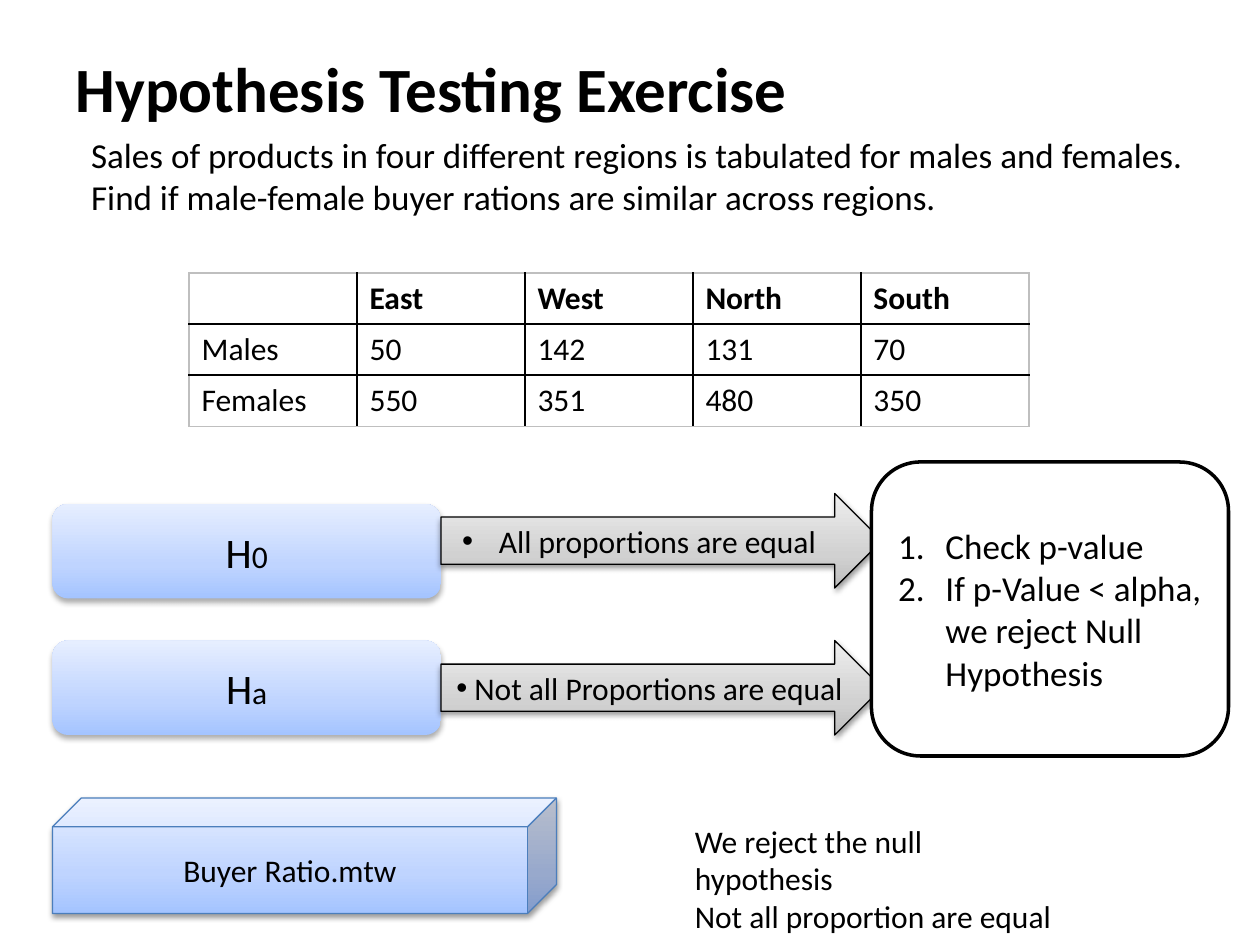
from pptx import Presentation
from pptx.dml.color import RGBColor
from pptx.enum.shapes import MSO_SHAPE
from pptx.enum.text import MSO_ANCHOR, PP_ALIGN
from pptx.oxml import parse_xml
from pptx.oxml.ns import qn
from pptx.util import Pt
from lxml.etree import SubElement

TITLE = "Hypothesis Testing Exercise"
INTRO = ("Sales of products in four different regions is tabulated for males and "
         "females. Find if male-female buyer rations are similar across regions.")
SALES = [
    ("", "East", "West", "North", "South"),
    ("Males", "50", "142", "131", "70"),
    ("Females", "550", "351", "480", "350"),
]
# symbol, its index, claim, box top, arrow top, bullet margin, bullet indent
CLAIMS = [
    ("H", "0", "All proportions are equal", 288, 282, 9, -21),
    ("H", "a", " Not all Proportions are equal", 366, 366, 0, 0),
]
STEPS = ["Check p-value", "If p-Value < alpha, we reject Null Hypothesis"]
FILE = "Buyer Ratio.mtw"
RESULT = ["We reject the null hypothesis", "Not all proportion are equal"]

BLUE = [(0, "A4C4FF"), (35, "BFD4FF"), (100, "E6EEFF")]
GREY = [(0, "BDBDBD"), (35, "D1D1D1"), (100, "EEEEEE")]
SOFT = (32, 3.5, 2.2)
FIRM = (38, 3.1, 1.6)
FONT = "Calibri"
NS = 'xmlns:a="http://schemas.openxmlformats.org/drawingml/2006/main"'


def color(code):
    """Turn a hex string into a colour."""
    return RGBColor.from_string(code)


def write(frame, paras, size=18, bold=False, align=PP_ALIGN.LEFT,
          anchor=MSO_ANCHOR.MIDDLE, left=0, indent=0, bullet=None):
    """Fill a frame; a paragraph is a string or a list of (text, size) runs."""
    frame.word_wrap = True
    frame.vertical_anchor = anchor
    for i, runs in enumerate(paras):
        para = frame.add_paragraph() if i else frame.paragraphs[0]
        para.alignment = align
        props = para._p.get_or_add_pPr()
        props.set("marL", str(Pt(left)))
        props.set("indent", str(Pt(indent)))
        if bullet:
            SubElement(props, qn("a:buFont"), typeface="Arial" if bullet == "•" else "+mj-lt")
            if bullet == "•":
                SubElement(props, qn("a:buChar"), char=bullet)
            else:
                SubElement(props, qn("a:buAutoNum"), type=bullet)
        for text, points in [(runs, size)] if isinstance(runs, str) else runs:
            run = para.add_run()
            run.text = text
            font = run.font
            font.name, font.size, font.bold = FONT, Pt(points), bold
            font.color.rgb = color("000000")


def shape(kind, box, fill, line=None, width=0.75, shadow=None):
    """Add a preset shape with a plain fill or a list of gradient stops."""
    item = slide.shapes.add_shape(kind, *map(Pt, box))
    if isinstance(fill, str):
        item.fill.solid()
        item.fill.fore_color.rgb = color(fill)
    else:
        item.fill.gradient()
        grad = item._element.spPr.find(qn("a:gradFill"))
        stops = "".join(f'<a:gs pos="{at * 1000}"><a:srgbClr val="{code}"/></a:gs>'
                        for at, code in fill)
        grad.getparent().replace(grad, parse_xml(
            f'<a:gradFill {NS} rotWithShape="1"><a:gsLst>{stops}</a:gsLst>'
            '<a:lin ang="16200000" scaled="0"/></a:gradFill>'))
    if line:
        item.line.color.rgb = color(line)
        item.line.width = Pt(width)
    else:
        item.line.fill.background()
    item.shadow.inherit = False
    if shadow:
        alpha, blur, dist = shadow
        item._element.spPr.find(qn("a:effectLst")).append(parse_xml(
            f'<a:outerShdw {NS} blurRad="{Pt(blur)}" dist="{Pt(dist)}" dir="5400000" '
            f'rotWithShape="0"><a:srgbClr val="000000"><a:alpha val="{alpha * 1000}"/>'
            '</a:srgbClr></a:outerShdw>'))
    return item.text_frame


def border(cell, edges):
    """Draw the four cell edges, given as side and colour."""
    props = cell._tc.get_or_add_tcPr()
    for i, (side, code) in enumerate(edges):
        props.insert(i, parse_xml(
            f'<a:ln{side} {NS} w="{Pt(1)}"><a:solidFill><a:srgbClr val="{code}"/>'
            f'</a:solidFill></a:ln{side}>'))


def grid(rows, left, top, wide, high):
    """Add the sales table, with black inner and grey outer lines."""
    count = len(rows[0])
    table = slide.shapes.add_table(len(rows), count, Pt(left), Pt(top),
                                   Pt(wide * count), Pt(high * len(rows))).table
    for col in table.columns:
        col.width = Pt(wide)
    for r, row in enumerate(rows):
        table.rows[r].height = Pt(high)
        for c, text in enumerate(row):
            cell = table.cell(r, c)
            cell.fill.background()
            write(cell.text_frame, [text], bold=r == 0)
            cell.vertical_anchor = MSO_ANCHOR.TOP
            outer = {"L": c == 0, "R": c == count - 1, "T": r == 0, "B": r == len(rows) - 1}
            border(cell, [(s, "BFBFBF" if out else "000000") for s, out in outer.items()])


def note(box, paras, **style):
    """Add a text box."""
    frame = slide.shapes.add_textbox(*map(Pt, box)).text_frame
    write(frame, paras, anchor=MSO_ANCHOR.TOP, **style)


deck = Presentation()
deck.slide_width, deck.slide_height = Pt(720), Pt(540)
slide = deck.slides.add_slide(deck.slide_layouts[5])

title = slide.shapes.title
title.left, title.top, title.width, title.height = map(Pt, (36, 21.6, 648, 56))
write(title.text_frame, [TITLE], size=36, bold=True)
note((18, 73, 690, 449), [INTRO], size=20, left=27)
grid(SALES, 108, 156, 96, 29.2)

for sign, index, claim, top, tip, left, indent in CLAIMS:
    frame = shape(MSO_SHAPE.ROUNDED_RECTANGLE, (30, top, 222, 54), BLUE, shadow=SOFT)
    write(frame, [[(sign, 24), (index, 18)]], align=PP_ALIGN.CENTER)
    frame = shape(MSO_SHAPE.RIGHT_ARROW, (252, tip, 252, 54), GREY, "000000", shadow=FIRM)
    write(frame, [claim], align=PP_ALIGN.CENTER, left=left, indent=indent, bullet="•")

frame = shape(MSO_SHAPE.ROUNDED_RECTANGLE, (498, 264, 204, 168), "FFFFFF", "000000", 2)
write(frame, STEPS, size=20, left=27, indent=-27, bullet="arabicPeriod")
frame = shape(MSO_SHAPE.CUBE, (30, 456, 288, 66), BLUE, "4B7EBC", shadow=FIRM)
write(frame, [FILE], align=PP_ALIGN.CENTER)
note((390, 466, 227, 73), RESULT)

deck.save("out.pptx")
